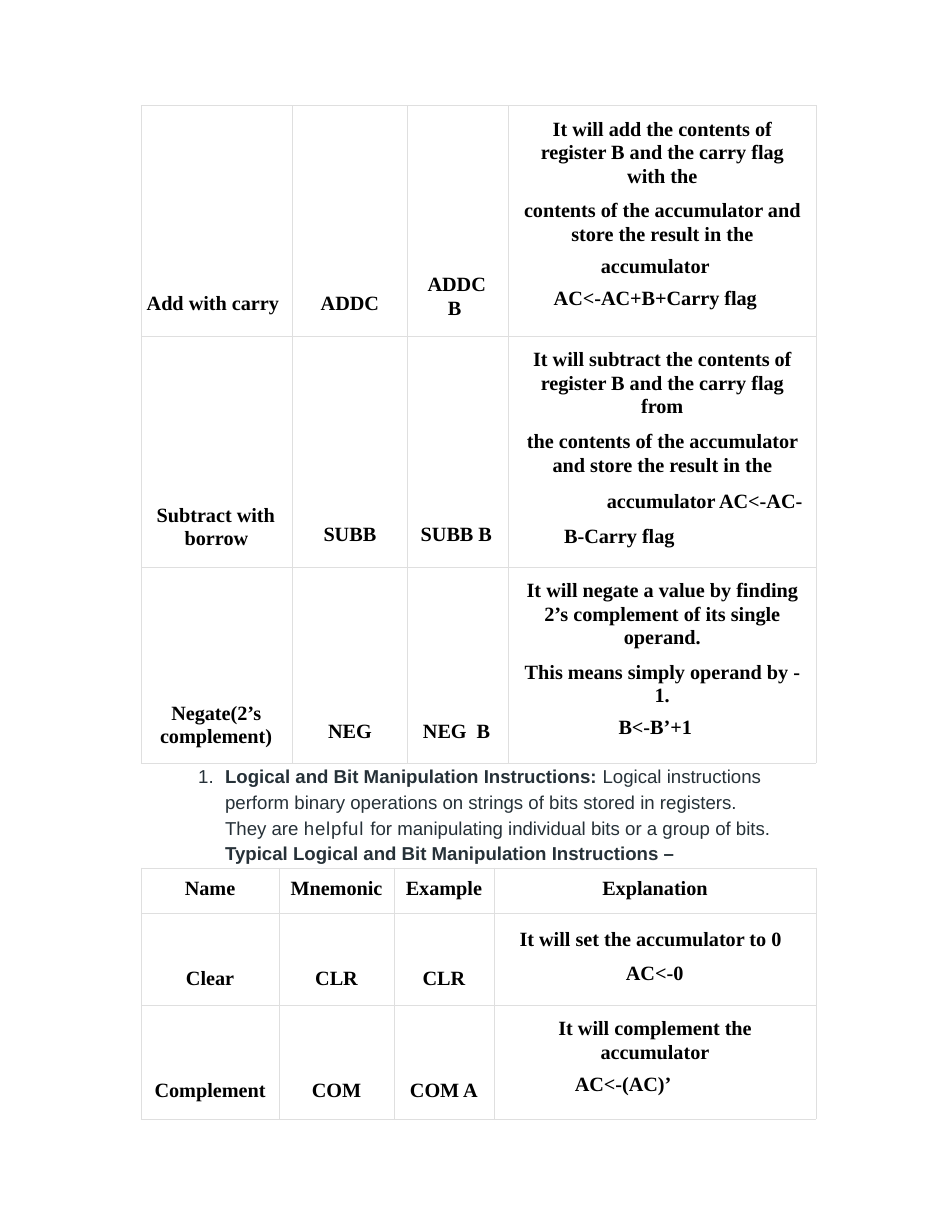
from pptx import Presentation
from pptx.dml.color import RGBColor
from pptx.enum.text import PP_ALIGN
from pptx.oxml import parse_xml
from pptx.oxml.ns import nsdecls
from pptx.util import Pt

BLACK = RGBColor(0x00, 0x00, 0x00)
SLATE = RGBColor(0x26, 0x31, 0x38)
BORDER = RGBColor(0xDF, 0xDF, 0xDF)


def add_text(p, text, font="Times New Roman", size=13, color=BLACK, bold=True,
             spacing=0, align=None, left=0, right=0, first=0, line=None, before=0):
    """Add a run to a paragraph and set the paragraph format."""
    r = p.add_run()
    r.text = text
    r.font.name, r.font.size, r.font.bold = font, Pt(size), bold
    r.font.color.rgb = color
    if spacing:
        r._r.get_or_add_rPr().set("spc", str(round(spacing * 100)))
    p.alignment = align
    p.space_before = Pt(before)
    if line:
        p.line_spacing = line
    pPr = p._p.get_or_add_pPr()
    for name, value in (("marL", left), ("marR", right), ("indent", first)):
        pPr.set(name, str(Pt(value)))


def centred(text, **fmt):
    """Describe a centred paragraph."""
    return text, dict(align=PP_ALIGN.CENTER, **fmt)


def block(text, side, before=0):
    """Describe a centred paragraph of several lines with equal side margins."""
    return centred(text, left=side, right=side, line=Pt(15.1), before=before)


def hanging(text, left, first, line=15.1, right=0):
    """Describe a left-aligned paragraph with its own first-line indent."""
    return text, dict(left=left, first=first, line=Pt(line), right=right)


def set_borders(cell):
    """Give a cell a thin grey line on each side."""
    tcPr = cell._tc.get_or_add_tcPr()
    for i, side in enumerate(("lnL", "lnR", "lnT", "lnB")):
        tcPr.insert(i, parse_xml(
            f'<a:{side} {nsdecls("a")} w="{Pt(0.25)}"><a:solidFill>'
            f'<a:srgbClr val="{BORDER}"/></a:solidFill></a:{side}>'))


def fill_cell(cell, top, paragraphs):
    """Write described paragraphs into a cell below a top margin."""
    cell.margin_left = cell.margin_right = cell.margin_bottom = 0
    cell.margin_top = Pt(top)
    cell.fill.background()
    set_borders(cell)
    tf = cell.text_frame
    for i, (text, fmt) in enumerate(paragraphs):
        p = tf.add_paragraph() if i else tf.paragraphs[0]
        parts = [(text, 0)] if isinstance(text, str) else text
        for part, spacing in parts:
            add_text(p, part, spacing=spacing, **fmt)


def add_instruction_table(s, x, y, widths, heights, rows):
    """Place a bordered instruction table with its top left at x, y."""
    frame = s.shapes.add_table(len(rows), len(widths), Pt(x), Pt(y),
                               Pt(sum(widths)), Pt(sum(heights)))
    table = frame.table
    table.first_row = table.horz_banding = False
    for column, width in zip(table.columns, widths):
        column.width = Pt(width)
    for row, height, cells in zip(table.rows, heights, rows):
        row.height = Pt(height)
        for cell, (top, *paragraphs) in zip(row.cells, cells):
            fill_cell(cell, top, paragraphs)


def add_logical_intro(s, x, y, w, h):
    """Place the numbered paragraph that introduces logical instructions."""
    tf = s.shapes.add_textbox(Pt(x), Pt(y), Pt(w), Pt(h)).text_frame
    tf.word_wrap = True
    tf.margin_left = tf.margin_right = tf.margin_bottom = 0
    tf.margin_top = Pt(0.9)
    for text, bold, spacing in (
            ("1.\t", False, 0),
            ("Logical and Bit Manipulation Instructions: ", True, 0),
            ("Logical instructions ", False, 0),
            ("perform binary operations on strings of bits stored in registers. ", False, 0),
            ("They are ", False, 0),
            ("helpful ", False, 0.5),
            ("for manipulating individual bits or a group of bits. ", False, 0),
            ("Typical Logical and Bit Manipulation Instructions –", True, 0)):
        add_text(tf.paragraphs[0], text, font="Arial", size=12, color=SLATE, bold=bold,
                 spacing=spacing, left=18, first=-17.3, line=1.16, before=0.8)


ARITHMETIC = [
    [(120.7, ("Add with carry", dict(left=3.6))),
     (120.7, centred("ADDC")),
     (107.3, hanging("ADDC B", 26, -13, 15.2, right=12)),
     (7.5, block("It will add the contents of register B and the carry flag with the", 19.4),
      block("contents of the accumulator and store the result in the", 8.6, 7.2),
      centred("accumulator", right=9, before=6.1),
      centred("AC<-AC+B+Carry flag", right=9, before=6.6))],
    [(107.3, hanging("Subtract with borrow", 28, -18)),
     (120.7, centred("SUBB")),
     (120.7, ("SUBB B", dict(left=8.6))),
     (7.5, block("It will subtract the contents of register B and the carry flag from", 14.4),
      block("the contents of the accumulator and store the result in the", 10, 7.2),
      ("accumulator AC<-AC-B-Carry flag",
       dict(left=36, first=27.4, line=Pt(22.1), before=1.5)))],
    [(86.3, hanging("Negate(2’s complement)", 12.2, 7.2)),
     (99, centred("NEG")),
     (99, ([("NEG", 0), (" ", 3.2), ("B", 0)], dict(left=10))),
     (7.5, block("It will negate a value by finding 2’s complement of its single operand.", 10),
      block("This means simply operand by - 1.", 9.4, 7.2),
      centred("B<-B’+1", right=9, before=6.2))],
]

LOGICAL = [
    [(6.5, centred(title)) for title in ("Name", "Mnemonic", "Example", "Explanation")],
    [(34.7, centred(text)) for text in ("Clear", "CLR", "CLR")]
    + [(1.8, hanging("It will set the accumulator to 0 AC<-0", 85, -68.4, 22.1))],
    [(48.2, centred(text)) for text in ("Complement", "COM", "COM A")]
    + [(7.3, block("It will complement the accumulator", 40.3),
        centred("AC<-(AC)’", right=41, before=6.2))],
]


def main():
    """Build the page and save it."""
    prs = Presentation()
    prs.slide_width, prs.slide_height = Pt(612), Pt(792)
    s = prs.slides.add_slide(prs.slide_layouts[6])
    add_instruction_table(s, 90.7, 67.7, (97.2, 74, 64.8, 198), (148.4, 148.4, 126), ARITHMETIC)
    add_logical_intro(s, 126.7, 488.2, 369.4, 68.4)
    add_instruction_table(s, 90.7, 557.8, (88.6, 74, 64.1, 207.3), (29.5, 58.9, 73.4), LOGICAL)
    prs.save("out.pptx")


if __name__ == "__main__":
    main()
